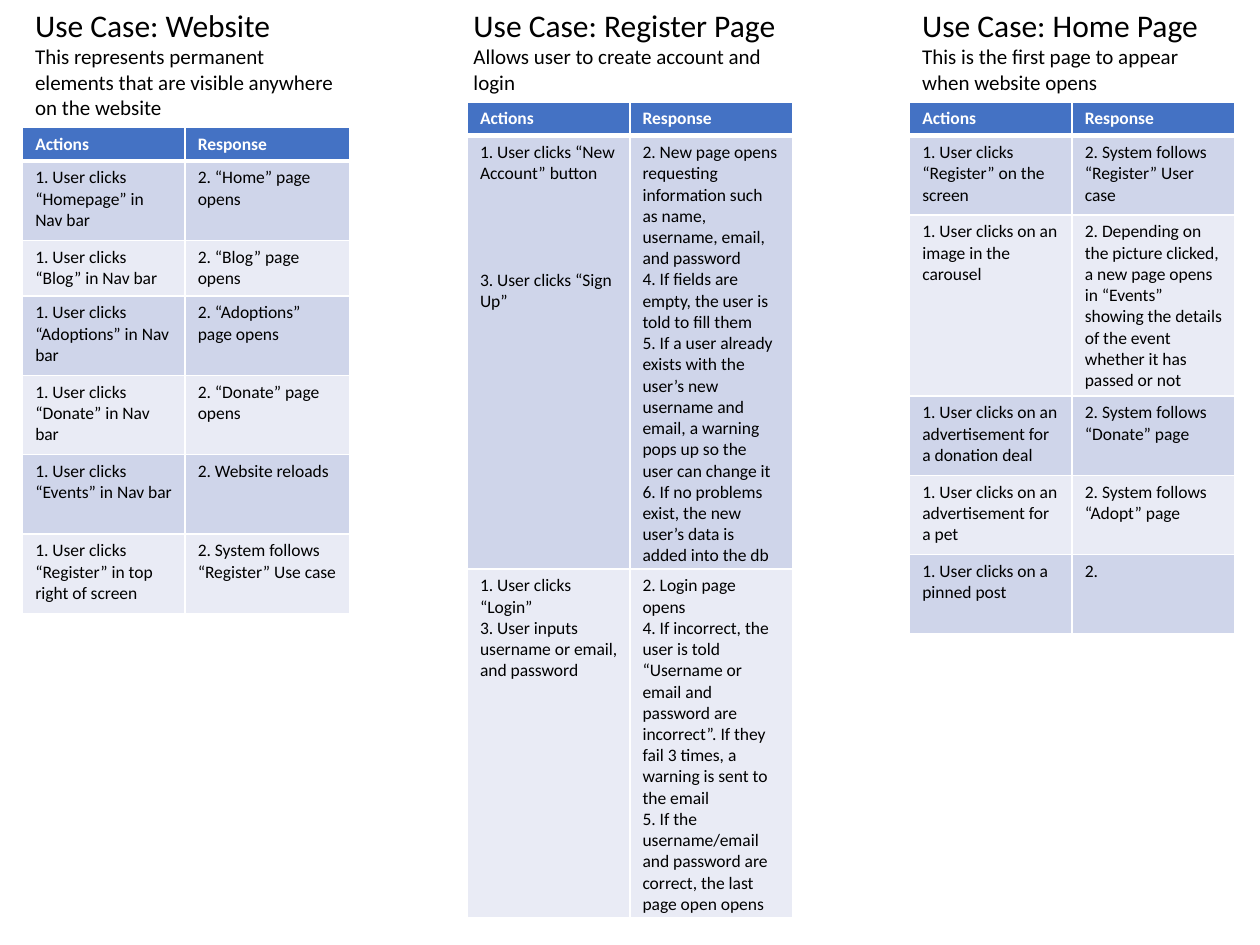
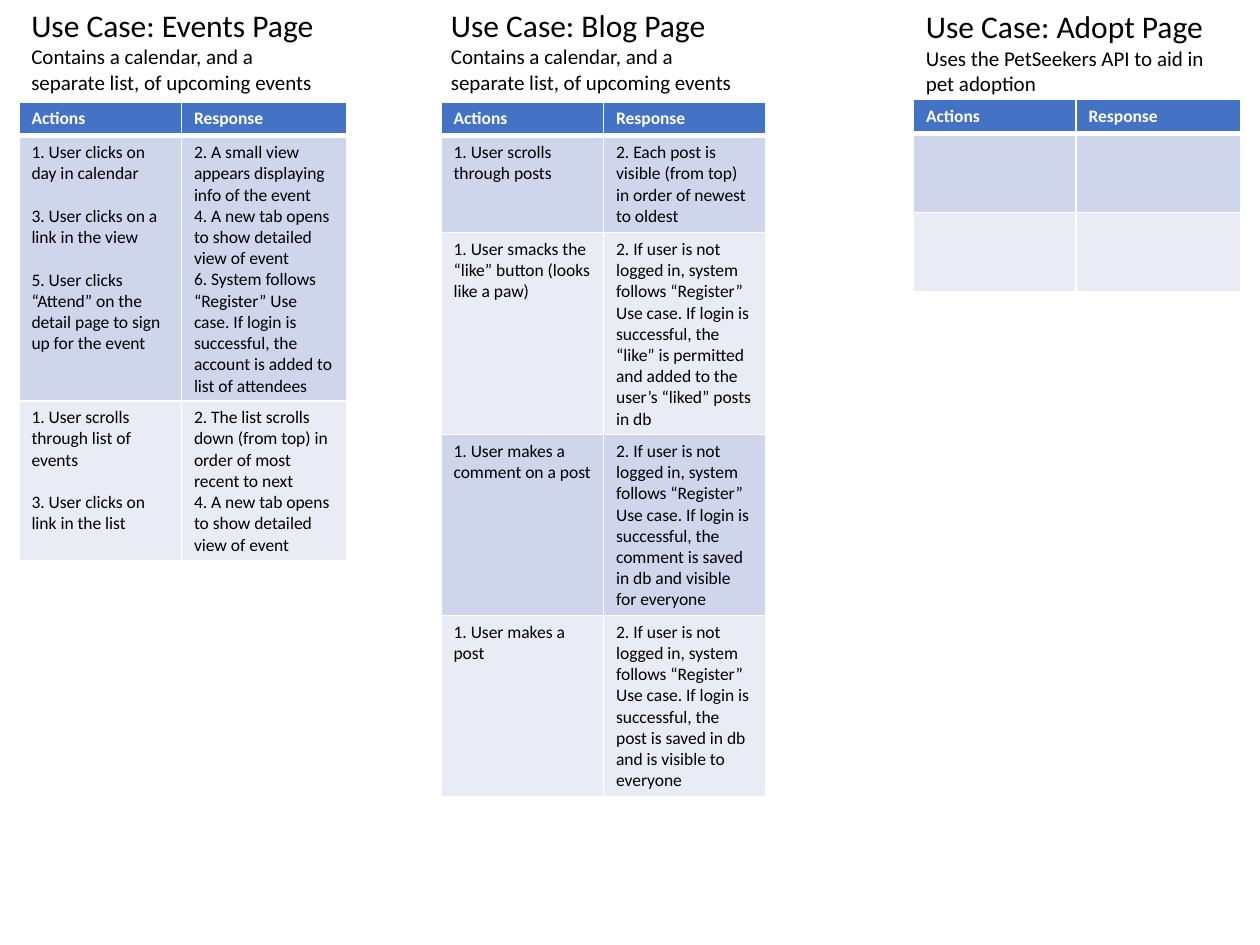
from dataclasses import dataclass

from lxml import etree
from pptx import Presentation
from pptx import util as u
from pptx.dml.color import RGBColor
from pptx.enum import text
from pptx.oxml import ns


@dataclass(frozen=True)
class Theme:
    font: str = "Calibri"
    ink: str = "000000"
    white: str = "FFFFFF"
    header: str = "4472C4"
    bands: tuple = ("CFD5EA", "E9EBF5")
    title_size: int = 18
    summary_size: int = 12
    cell_size: int = 10
    line_height: float = 12.2
    thin: int = 1
    thick: int = 3
    header_height: float = 0.25
    row_height: float = 0.63
    column: float = 1.29


THEME = Theme()


@dataclass(frozen=True)
class UseCase:
    name: str
    summary: str
    box: tuple
    table: tuple
    rows: list
    response_width: float = THEME.column
    short_rows: tuple = ()


LOGIN_RULE = "2. If user is not logged in, system follows “Register” Use case. If login is successful, the "
EVENTS_SUMMARY = "Contains a calendar, and a separate list, of upcoming events"
DETAIL_TAB = "4. A new tab opens to show detailed view of event"

WEBSITE = UseCase(
    "Website",
    "This represents permanent elements that are visible anywhere on the website",
    (0.18, 0, 2.58, 1.01), (0.18, 1.01),
    [
        (["1. User clicks “Homepage” in Nav bar"], ["2. “Home” page opens"]),
        (["1. User clicks “Blog” in Nav bar"], ["2. “Blog” page opens"]),
        (["1. User clicks “Adoptions” in Nav bar"], ["2. “Adoptions” page opens"]),
        (["1. User clicks “Donate” in Nav bar"], ["2. “Donate” page opens"]),
        (["1. User clicks “Events” in Nav bar"], ["2. Website reloads"]),
        (["1. User clicks “Register” in top right of screen"],
         ["2. System follows “Register” Use case"]),
    ],
    response_width=1.31, short_rows=((2, 0.44),),
)

REGISTER = UseCase(
    "Register Page",
    "Allows user to create account and login",
    (3.66, 0, 2.7, 0.81), (3.71, 0.81),
    [
        (["1. User clicks “New Account” button", ("3. User clicks “Sign Up”", 4)],
         ["2. New page opens requesting information such as name, username, email, and password",
          "4. If fields are empty, the user is told to fill them",
          "5. If a user already exists with the user’s new username and email, "
          "a warning pops up so the user can change it",
          "6. If no problems exist, the new user’s data is added into the db"]),
        (["1. User clicks “Login”", "3. User inputs username or email, and password"],
         ["2. Login page opens",
          "4. If incorrect, the user is told “Username or email and password are incorrect”. "
          "If they fail 3 times, a warning is sent to the email",
          "5. If the username/email and password are correct, the last page open opens"]),
    ],
)

HOME = UseCase(
    "Home Page",
    "This is the first page to appear when website opens",
    (7.22, 0, 2.58, 0.81), (7.22, 0.81),
    [
        (["1. User clicks “Register” on the screen"], ["2. System follows “Register” User case"]),
        (["1. User clicks on an image in the carousel"],
         ["2. Depending on the picture clicked, a new page opens in “Events” "
          "showing the details of the event whether it has passed or not"]),
        (["1. User clicks on an advertisement for a donation deal"],
         ["2. System follows “Donate” page"]),
        (["1. User clicks on an advertisement for a pet"], ["2. System follows “Adopt” page"]),
        (["1. User clicks on a pinned post"], ["2."]),
    ],
)

EVENTS = UseCase(
    "Events Page",
    EVENTS_SUMMARY,
    (0.15, 0, 2.58, 0.81), (0.15, 0.81),
    [
        (["1. User clicks on day in calendar",
          ("3. User clicks on a link in the view", 1),
          ("5. User clicks “Attend” on the detail page to sign up for the event", 1)],
         ["2. A small view appears displaying info of the event",
          DETAIL_TAB,
          "6. System follows “Register” Use case. If login is successful, "
          "the account is added to list of attendees"]),
        (["1. User scrolls through list of events", ("3. User clicks on link in the list", 1)],
         ["2. The list scrolls down (from top) in order of most recent to next", DETAIL_TAB]),
    ],
    response_width=1.31,
)

BLOG = UseCase(
    "Blog Page",
    EVENTS_SUMMARY,
    (3.48, 0, 2.58, 0.81), (3.5, 0.81),
    [
        (["1. User scrolls through posts"],
         ["2. Each post is visible (from top) in order of newest to oldest"]),
        (["1. User smacks the “like” button (looks like a paw)"],
         [LOGIN_RULE + "“like” is permitted and added to the user’s “liked” posts in db"]),
        (["1. User makes a comment on a post"],
         [LOGIN_RULE + "comment is saved in db and visible for everyone"]),
        (["1. User makes a post"],
         [LOGIN_RULE + "post is saved in db and is visible to everyone"]),
    ],
)

ADOPT = UseCase(
    "Adopt Page",
    "Uses the PetSeekers API to aid in pet adoption",
    (7.25, 0.01, 2.58, 0.81), (7.25, 0.79),
    [([], []), ([], [])],
    response_width=1.31,
)


def add_run(p, content, size, color=THEME.ink, bold=False):
    r = p.add_run()
    r.text = content
    r.font.name = THEME.font
    r.font.size = u.Pt(size)
    r.font.bold = bold
    r.font.color.rgb = RGBColor.from_string(color)


def add_heading(s, case):
    sp = s.shapes.add_textbox(*map(u.Inches, case.box))
    tf = sp.text_frame
    tf.word_wrap = True
    tf.auto_size = text.MSO_AUTO_SIZE.SHAPE_TO_FIT_TEXT
    add_run(tf.paragraphs[0], f"Use Case: {case.name}", THEME.title_size)
    add_run(tf.add_paragraph(), case.summary, THEME.summary_size)


def set_borders(cell, top, bottom):
    tc_pr = cell._tc.get_or_add_tcPr()
    widths = {"lnL": THEME.thin, "lnR": THEME.thin, "lnT": top, "lnB": bottom}
    for side, width in widths.items():
        ln = etree.SubElement(tc_pr, ns.qn(f"a:{side}"), w=str(u.Pt(width)))
        fill = etree.SubElement(ln, ns.qn("a:solidFill"))
        etree.SubElement(fill, ns.qn("a:srgbClr"), val=THEME.white)


def fill_cell(cell, paragraphs, row):
    is_header = row == 0
    set_borders(cell,
                THEME.thick if row == 1 else THEME.thin,
                THEME.thick if is_header else THEME.thin)
    cell.fill.solid()
    fill = THEME.header if is_header else THEME.bands[(row - 1) % 2]
    cell.fill.fore_color.rgb = RGBColor.from_string(fill)
    tf = cell.text_frame
    for i, item in enumerate(paragraphs):
        content, skipped_lines = (item, 0) if isinstance(item, str) else item
        p = tf.add_paragraph() if i else tf.paragraphs[0]
        if skipped_lines:
            p.space_before = u.Pt(skipped_lines * THEME.line_height)
        add_run(p, content, THEME.cell_size, THEME.white if is_header else THEME.ink, is_header)


def add_steps_table(s, case):
    rows = [(["Actions"], ["Response"])] + case.rows
    widths = (THEME.column, case.response_width)
    heights = [THEME.header_height] + [THEME.row_height] * len(case.rows)
    for row, height in case.short_rows:
        heights[row] = height
    left, top = case.table
    size = (sum(widths), sum(heights))
    table = s.shapes.add_table(len(rows), 2, u.Inches(left), u.Inches(top),
                               *map(u.Inches, size)).table
    for column, width in zip(table.columns, widths):
        column.width = u.Inches(width)
    for i, (cells, height) in enumerate(zip(rows, heights)):
        table.rows[i].height = u.Inches(height)
        for j, paragraphs in enumerate(cells):
            fill_cell(table.cell(i, j), paragraphs, i)


def add_use_case_slide(prs, cases):
    s = prs.slides.add_slide(prs.slide_layouts[6])
    for case in cases:
        add_steps_table(s, case)
        add_heading(s, case)


def main():
    prs = Presentation()
    prs.slide_width = u.Inches(10)
    prs.slide_height = u.Inches(7.5)
    add_use_case_slide(prs, (WEBSITE, REGISTER, HOME))
    add_use_case_slide(prs, (EVENTS, BLOG, ADOPT))
    prs.save("out.pptx")


if __name__ == "__main__":
    main()
